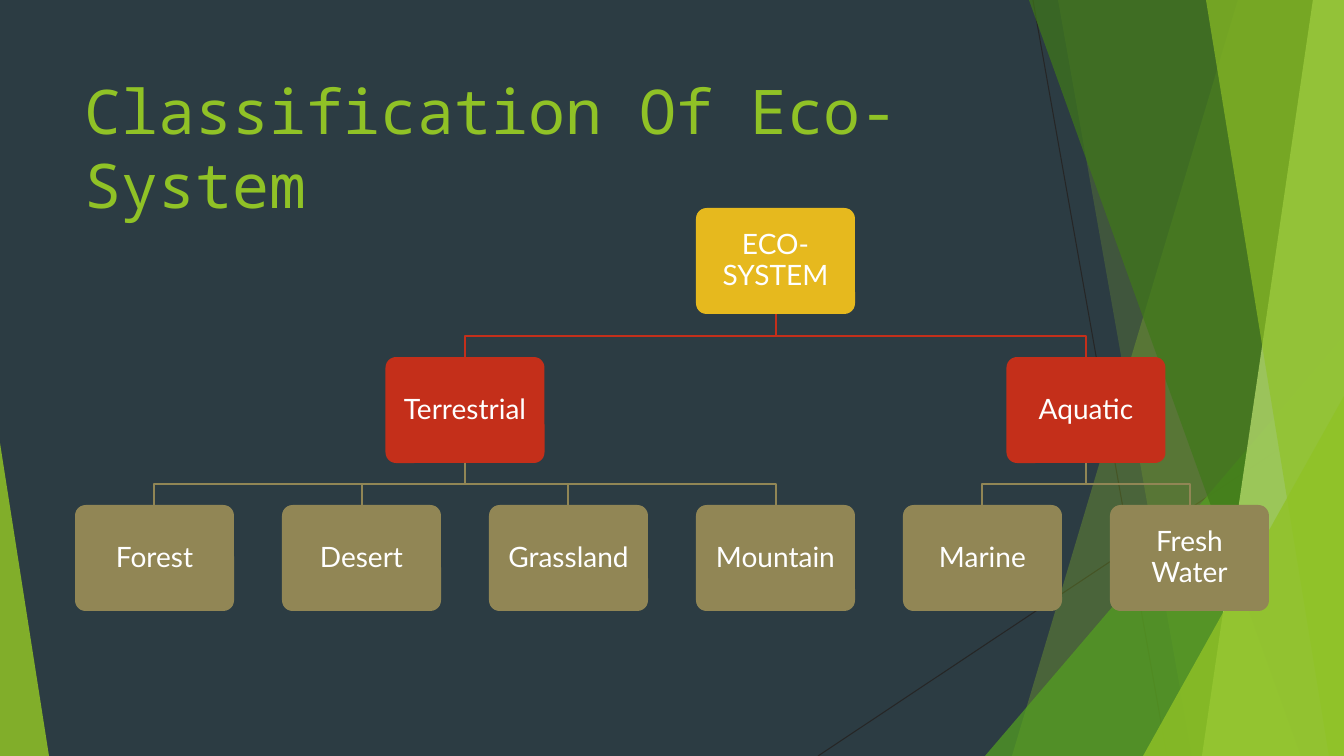
from lxml.etree import SubElement
from pptx import Presentation
from pptx.dml.color import RGBColor
from pptx.enum.shapes import MSO_CONNECTOR, MSO_SHAPE
from pptx.enum.text import MSO_ANCHOR, PP_ALIGN
from pptx.oxml.ns import qn
from pptx.util import Pt

PX = 914400 / 100.8
SLIDE_WIDTH, SLIDE_HEIGHT = 1344, 756

BACKGROUND = RGBColor(0x2C, 0x3C, 0x43)
RULE = RGBColor(0x26, 0x26, 0x26)
LIME = RGBColor(0x90, 0xC2, 0x26)
GREEN = RGBColor(0x54, 0xA0, 0x21)
DARK_GREEN = RGBColor(0x3F, 0x78, 0x19)
PALE_GREEN = RGBColor(0xC0, 0xE4, 0x74)
GOLD = RGBColor(0xE6, 0xB9, 0x1E)
RED = RGBColor(0xC4, 0x2F, 0x1A)
OLIVE = RGBColor(0x91, 0x86, 0x55)
WHITE = RGBColor(0xFF, 0xFF, 0xFF)

LEVEL_COLORS = (GOLD, RED, OLIVE)
LEVEL_TOPS = (208, 357, 505)
NODE_WIDTH, NODE_HEIGHT = 159, 106
FIRST_CENTER, LEAF_STEP = 154.5, 207

ECOSYSTEM = ("ECO-SYSTEM", [
    ("Terrestrial", [("Forest", []), ("Desert", []), ("Grassland", []), ("Mountain", [])]),
    ("Aquatic", [("Marine", []), ("Fresh Water", [])]),
])


def px(*lengths):
    return [round(length * PX) for length in lengths]


def fill_shape(shape, color, opacity=100):
    shape.shadow.inherit = False
    shape.fill.solid()
    shape.fill.fore_color.rgb = color
    shape.line.fill.background()
    if opacity < 100:
        color_element = shape.fill._xPr.find(qn("a:solidFill"))[0]
        SubElement(color_element, qn("a:alpha"), val=str(opacity * 1000))


def add_path(slide, points, close):
    builder = slide.shapes.build_freeform(*points[0], scale=PX)
    builder.add_line_segments(points[1:], close=close)
    return builder.convert_to_shape()


def add_facet(slide, top_left, bottom_left, color, opacity):
    """Add a translucent band that reaches the right edge of the slide."""
    points = [(top_left, 0), (SLIDE_WIDTH, 0),
              (SLIDE_WIDTH, SLIDE_HEIGHT), (bottom_left, SLIDE_HEIGHT)]
    fill_shape(add_path(slide, points, close=True), color, opacity)


def add_triangle(slide, left, top, width, apex, color, opacity):
    """Add a triangle that stands on the bottom edge of the slide."""
    shape = slide.shapes.add_shape(MSO_SHAPE.ISOSCELES_TRIANGLE,
                                   *px(left, top, width, SLIDE_HEIGHT - top))
    shape.adjustments[0] = apex
    fill_shape(shape, color, opacity)


def add_rule(slide, *ends):
    connector = slide.shapes.add_connector(MSO_CONNECTOR.STRAIGHT, *px(*ends))
    connector.line.color.rgb = RULE
    connector.line.width = Pt(0.75)
    SubElement(connector._element.spPr, qn("a:effectLst"))


def add_backdrop(slide):
    add_rule(slide, 1033, 0, 1167, SLIDE_HEIGHT)
    add_rule(slide, SLIDE_WIDTH, 406, 818, SLIDE_HEIGHT)
    add_facet(slide, 1238, 1012, LIME, 30)
    add_facet(slide, 1058, 1192, LIME, 20)
    add_triangle(slide, 985, 336, 359, 1, GREEN, 72)
    add_facet(slide, 1029, 1301, DARK_GREEN, 70)
    add_facet(slide, 1313, 1202, PALE_GREEN, 70)
    add_facet(slide, 1206, 1329, LIME, 65)
    add_triangle(slide, 1143, 396, 201, 1, LIME, 80)
    add_triangle(slide, 0, 443, 49, 0, LIME, 85)


def format_runs(paragraph, font_name, size, color):
    for run in paragraph.runs:
        run.font.name = font_name
        run.font.size = Pt(size)
        run.font.color.rgb = color


def add_title(slide, text):
    frame = slide.shapes.add_textbox(*px(75, 68, 948, 145)).text_frame
    frame.word_wrap = True
    frame.text = text
    format_runs(frame.paragraphs[0], "Noto Sans Mono", 44, LIME)


def add_node(slide, text, center, level):
    shape = slide.shapes.add_shape(
        MSO_SHAPE.ROUNDED_RECTANGLE,
        *px(center - NODE_WIDTH / 2, LEVEL_TOPS[level], NODE_WIDTH, NODE_HEIGHT))
    shape.adjustments[0] = 0.1
    fill_shape(shape, LEVEL_COLORS[level])
    frame = shape.text_frame
    frame.word_wrap = True
    frame.vertical_anchor = MSO_ANCHOR.MIDDLE
    (frame.margin_left, frame.margin_right,
     frame.margin_top, frame.margin_bottom) = px(11, 11, 11, 11)
    frame.text = text
    paragraph = frame.paragraphs[0]
    paragraph.alignment = PP_ALIGN.CENTER
    paragraph.line_spacing = 0.9
    format_runs(paragraph, "Lato", 20, WHITE)


def add_branch(slide, parent_center, child_center, child_level):
    start = LEVEL_TOPS[child_level - 1] + NODE_HEIGHT
    end = LEVEL_TOPS[child_level]
    middle = (start + end) / 2
    shape = add_path(slide, [(parent_center, start), (parent_center, middle),
                             (child_center, middle), (child_center, end)], close=False)
    shape.shadow.inherit = False
    shape.fill.background()
    shape.line.color.rgb = LEVEL_COLORS[child_level]
    shape.line.width = Pt(1.5)


def add_tree(slide, node, leaf_centers, level=0):
    """Draw a node centred above its children and return its centre."""
    text, children = node
    child_centers = [add_tree(slide, child, leaf_centers, level + 1) for child in children]
    if children:
        center = (child_centers[0] + child_centers[-1]) / 2
    else:
        center = next(leaf_centers)
    for child_center in child_centers:
        add_branch(slide, center, child_center, level + 1)
    add_node(slide, text, center, level)
    return center


def main():
    presentation = Presentation()
    presentation.slide_width, presentation.slide_height = px(SLIDE_WIDTH, SLIDE_HEIGHT)
    slide = presentation.slides.add_slide(presentation.slide_layouts[6])
    slide.background.fill.solid()
    slide.background.fill.fore_color.rgb = BACKGROUND
    add_backdrop(slide)
    add_title(slide, "Classification Of Eco-System")
    leaf_centers = (FIRST_CENTER + LEAF_STEP * index for index in range(6))
    add_tree(slide, ECOSYSTEM, leaf_centers)
    presentation.save("out.pptx")


if __name__ == "__main__":
    main()
